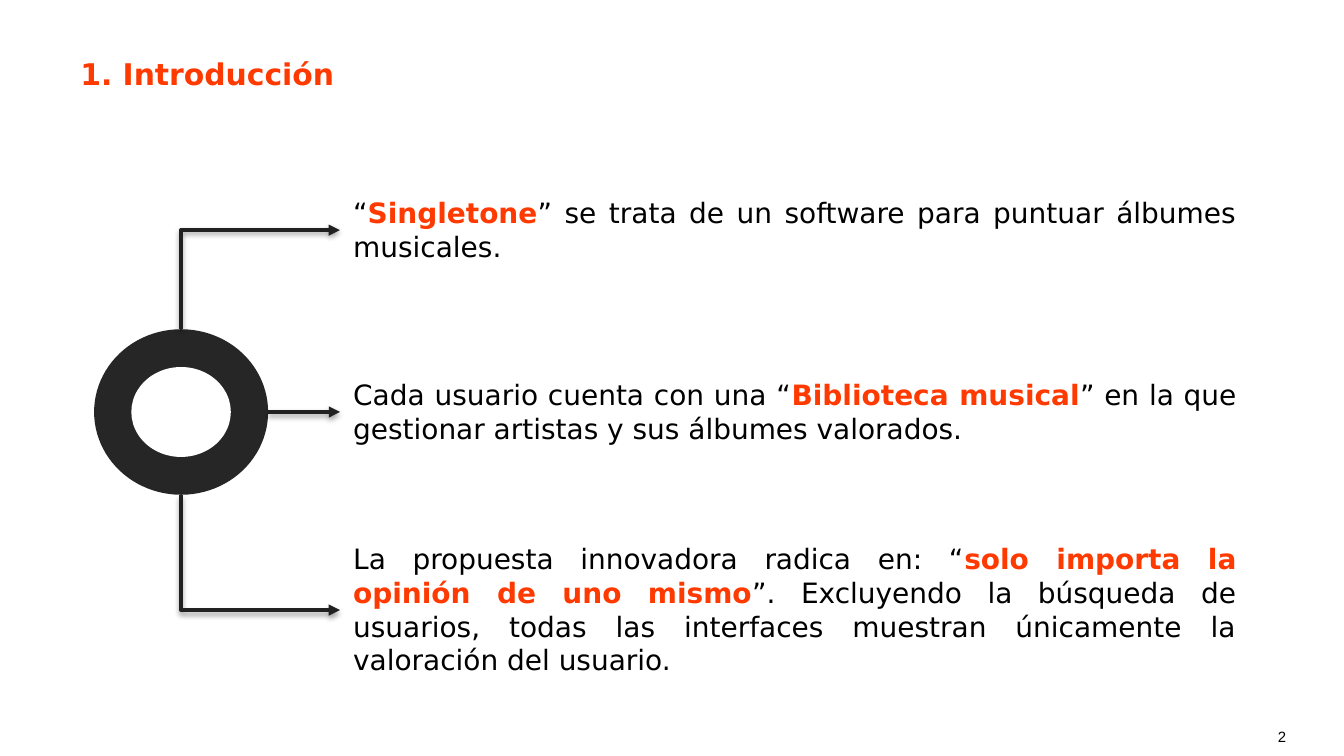
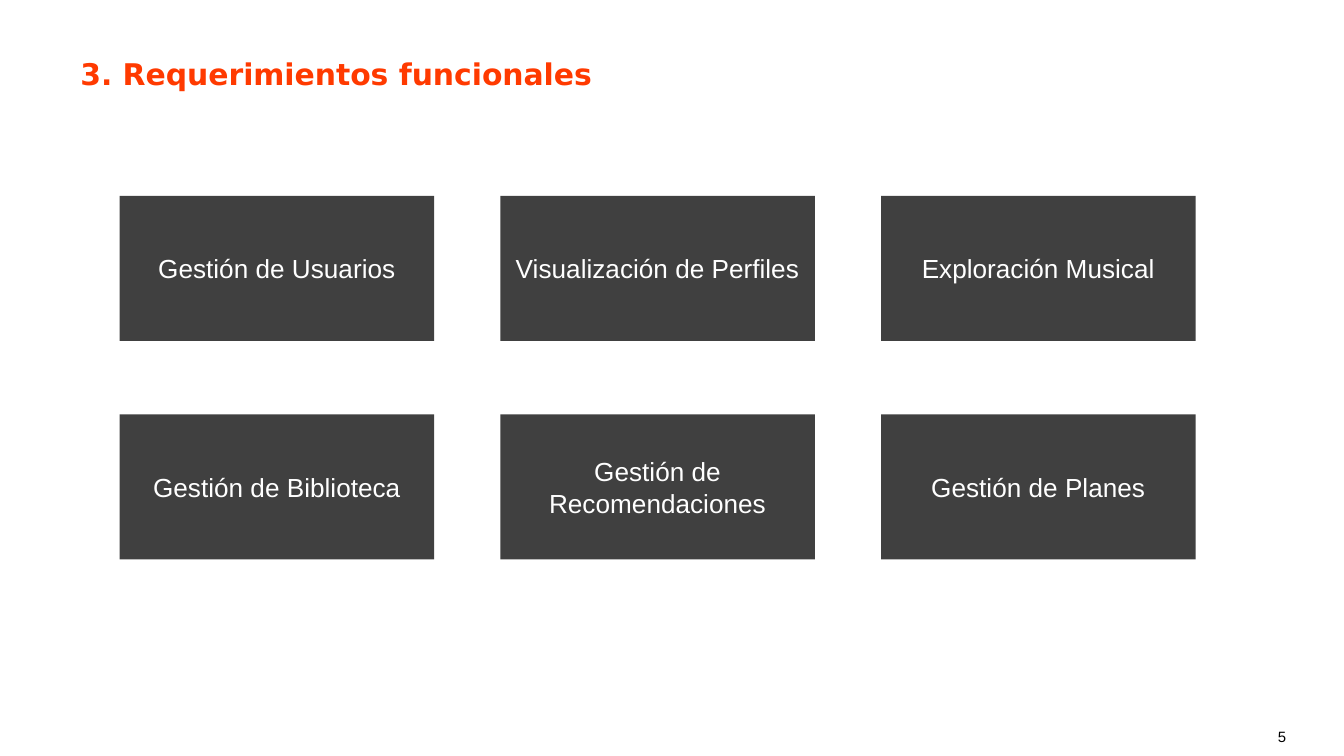
"""Build two slides: the introduction and the functional requirements."""
from dataclasses import dataclass
from itertools import product

from lxml.etree import SubElement
from pptx import Presentation
from pptx.dml.color import RGBColor
from pptx.enum.shapes import MSO_CONNECTOR as Connector, MSO_SHAPE as Shape
from pptx.enum.text import MSO_ANCHOR as Anchor, MSO_AUTO_SIZE as AutoSize, PP_ALIGN as Align
from pptx.oxml.ns import qn
from pptx.util import Inches, Pt

WIDTH = Inches(10)
HEIGHT = WIDTH * 9 // 16
COLUMN, ROW = WIDTH / 100, HEIGHT / 100
ACCENT, INK, PAPER = "FF3A00", "000000", "FFFFFF"
RING, ARROW, CARD = "262626", "212121", "404040"
HEADING_FONT, LABEL_FONT = "DejaVu Sans", "Arial"


@dataclass(frozen=True)
class Area:
    """A place on the grid of 100 columns by 100 rows."""

    column: float
    row: float
    columns: float
    rows: float

    @property
    def emu(self) -> tuple[int, int, int, int]:
        """Give left, top, width and height as slide lengths."""
        return (round(self.column * COLUMN), round(self.row * ROW),
                round(self.columns * COLUMN), round(self.rows * ROW))

    def centred(self, columns: float, rows: float) -> "Area":
        """Give a smaller area with the same centre."""
        return Area(self.column + (self.columns - columns) / 2,
                    self.row + (self.rows - rows) / 2, columns, rows)


@dataclass(frozen=True)
class Statement:
    """A paragraph whose key phrase stands between asterisks."""

    row: float
    rows: float
    text: str


TITLE_COLUMN, TITLE_ROW, TITLE_ROWS = 5, 6.5, 6.6
NUMBER_AREA = Area(94.1, 95.4, 5.9, 4.3)
RING_AREA = Area(7, 43.55, 12.95, 21.9)
HOLE_AREA = RING_AREA.centred(7.4, 11.9)
STATEMENT_COLUMN, STATEMENT_COLUMNS = 25.3, 67.7
FIRST_CARD = Area(8.9, 25.9, 23.4, 19.2)
CARD_COLUMN_STEP, CARD_ROW_STEP = 28.33, 28.9

STATEMENTS = (
    Statement(25, 10.9, "“*Singletone*” se trata de un software para puntuar álbumes musicales."),
    Statement(49.05, 10.9, "Cada usuario cuenta con una “*Biblioteca musical*” en la que "
                           "gestionar artistas y sus álbumes valorados."),
    Statement(70.8, 19.8, "La propuesta innovadora radica en: “*solo importa la opinión de uno "
                          "mismo*”. Excluyendo la búsqueda de usuarios, todas las interfaces "
                          "muestran únicamente la valoración del usuario."),
)
REQUIREMENTS = (
    "Gestión de Usuarios", "Visualización de Perfiles", "Exploración Musical",
    "Gestión de Biblioteca", "Gestión de Recomendaciones", "Gestión de Planes",
)


def colour(value: str) -> RGBColor:
    """Turn a hex string into a colour."""
    return RGBColor.from_string(value)


def write(shape, text: str, *, size: float, font: str = HEADING_FONT, ink: str = INK,
          bold: bool = False, align=Align.LEFT, anchor=Anchor.TOP,
          wrap: bool = True, grow: bool = False) -> None:
    """Fill a shape with text, stressing the phrases between asterisks."""
    frame = shape.text_frame
    frame.word_wrap = wrap
    frame.auto_size = AutoSize.SHAPE_TO_FIT_TEXT if grow else AutoSize.NONE
    frame.vertical_anchor = anchor
    paragraph = frame.paragraphs[0]
    paragraph.alignment = align
    for index, phrase in enumerate(text.split("*")):
        stressed = index % 2 == 1
        run = paragraph.add_run()
        run.text = phrase
        run.font.name, run.font.size = font, Pt(size)
        run.font.bold = bold or stressed
        run.font.color.rgb = colour(ACCENT if stressed else ink)


def add_text(slide, area: Area, text: str, **style):
    """Add a text box and return it."""
    box = slide.shapes.add_textbox(*area.emu)
    write(box, text, **style)
    return box


def add_figure(slide, kind, area: Area, fill: str):
    """Add a flat preset shape without outline and return it."""
    figure = slide.shapes.add_shape(kind, *area.emu)
    figure.shadow.inherit = False
    figure.fill.solid()
    figure.fill.fore_color.rgb = colour(fill)
    figure.line.fill.background()
    return figure


def style_arrow(arrow) -> None:
    """Give a connector its line, arrowhead and soft shadow."""
    arrow.line.color.rgb = colour(ARROW)
    arrow.line.width = Pt(2)
    properties = arrow._element.spPr
    SubElement(properties.find(qn("a:ln")), qn("a:tailEnd"), type="triangle")
    effects = SubElement(properties, qn("a:effectLst"))
    shadow = SubElement(effects, qn("a:outerShdw"), blurRad=str(Pt(3.1)), dist=str(Pt(1.6)),
                        dir="5400000", rotWithShape="0")
    shade = SubElement(shadow, qn("a:srgbClr"), val=INK)
    SubElement(shade, qn("a:alpha"), val="38000")


def bend(arrow) -> None:
    """Make a connector leave vertically and turn once to the right."""
    start_x, start_y, end_x, end_y = arrow.begin_x, arrow.begin_y, arrow.end_x, arrow.end_y
    rises = end_y < start_y
    run, rise = end_x - start_x, abs(end_y - start_y)
    arrow.left = (start_x + end_x - rise) // 2
    arrow.top = (start_y + end_y - run) // 2
    arrow.width, arrow.height = rise, run
    properties = arrow._element.spPr
    transform = properties.find(qn("a:xfrm"))
    transform.set("rot", "5400000" if rises else "16200000")
    transform.set("flipH", "1")
    transform.set("flipV", "1" if rises else "0")
    properties.find(qn("a:prstGeom")).set("prst", "bentConnector2")


def add_arrow(slide, ring, statement) -> None:
    """Lead an arrow from the ring to the left side of a statement."""
    middle = ring.top + ring.height // 2
    target = statement.top + statement.height // 2
    level = abs(target - middle) < ROW
    if level:
        start = ring.left + ring.width, target
    else:
        start = ring.left + ring.width // 2, ring.top + (ring.height if target > middle else 0)
    arrow = slide.shapes.add_connector(Connector.STRAIGHT if level else Connector.ELBOW,
                                       *start, statement.left, target)
    arrow.end_connect(statement, 1)
    if not level:
        bend(arrow)
    style_arrow(arrow)


def add_slide(deck, title: str, number: int, title_columns: float):
    """Add a blank slide with its title and page number."""
    slide = deck.slides.add_slide(deck.slide_layouts[6])
    add_text(slide, NUMBER_AREA, str(number), size=8, font=LABEL_FONT)
    add_text(slide, Area(TITLE_COLUMN, TITLE_ROW, title_columns, TITLE_ROWS), title,
             size=16, ink=ACCENT, bold=True, wrap=False, grow=True)
    return slide


def build_introduction(deck) -> None:
    """Draw the ring with its three statements."""
    slide = add_slide(deck, "1. Introducción", 2, 21.4)
    ring = add_figure(slide, Shape.OVAL, RING_AREA, RING)
    add_figure(slide, Shape.OVAL, HOLE_AREA, PAPER)
    for item in STATEMENTS:
        area = Area(STATEMENT_COLUMN, item.row, STATEMENT_COLUMNS, item.rows)
        statement = add_text(slide, area, item.text, size=15, align=Align.JUSTIFY, grow=True)
        add_arrow(slide, ring, statement)


def build_requirements(deck) -> None:
    """Draw the requirement cards in two rows of three."""
    slide = add_slide(deck, "3. Requerimientos funcionales", 5, 40.4)
    for (row, column), requirement in zip(product(range(2), range(3)), REQUIREMENTS):
        area = Area(FIRST_CARD.column + column * CARD_COLUMN_STEP,
                    FIRST_CARD.row + row * CARD_ROW_STEP, FIRST_CARD.columns, FIRST_CARD.rows)
        card = add_figure(slide, Shape.RECTANGLE, area, CARD)
        write(card, requirement, size=14, font=LABEL_FONT, ink=PAPER,
              align=Align.CENTER, anchor=Anchor.MIDDLE)


def main() -> None:
    """Build and save the deck."""
    deck = Presentation()
    deck.slide_width, deck.slide_height = WIDTH, HEIGHT
    build_introduction(deck)
    build_requirements(deck)
    deck.save("out.pptx")


if __name__ == "__main__":
    main()
